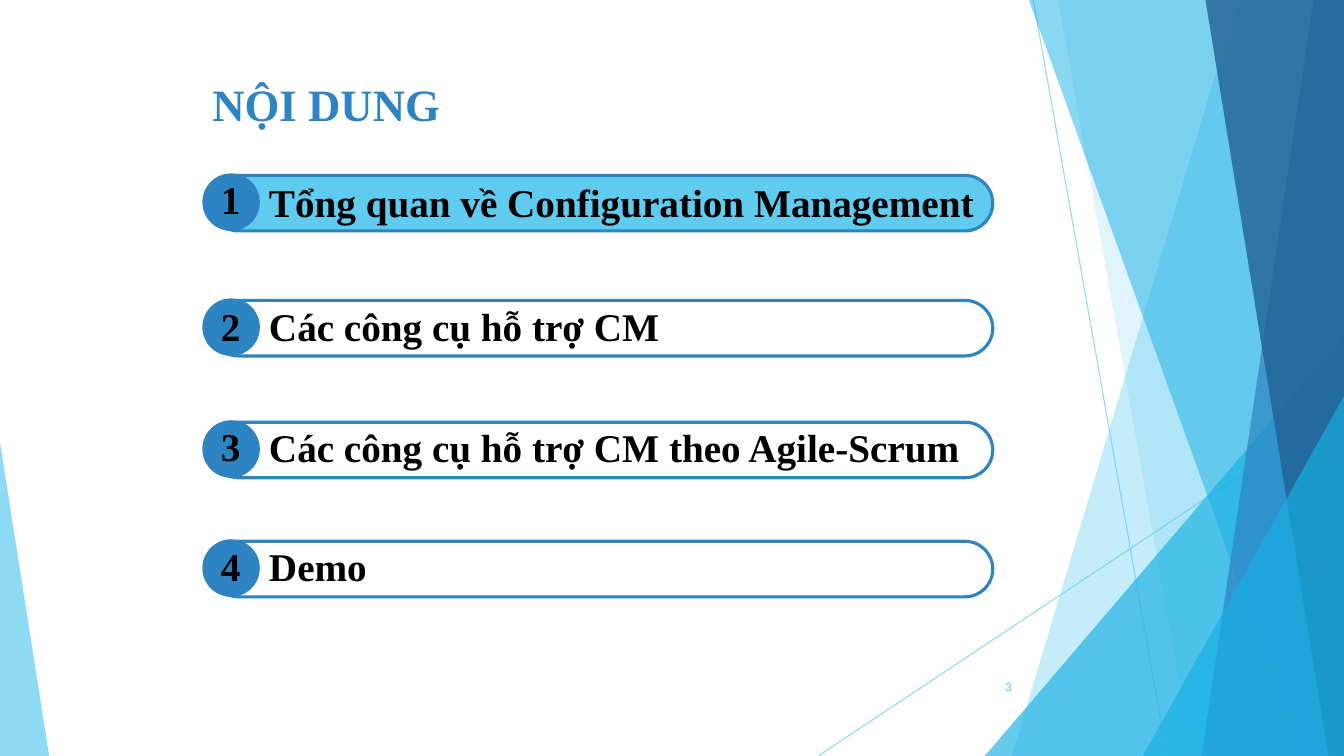
import pptx
import pptx.dml.color
import pptx.enum.shapes
import pptx.enum.text
import pptx.oxml.ns
import pptx.util
from lxml import etree

Cm = pptx.util.Cm
Pt = pptx.util.Pt
qn = pptx.oxml.ns.qn
SHAPES = pptx.enum.shapes.MSO_SHAPE

COLORS = {
    "sky": "5FCBEF",
    "cyan": "17B0E4",
    "blue": "2E83C3",
    "navy": "226292",
    "black": "000000",
}
SERIF = "Times New Roman"
WIDTH, HEIGHT = 33.87, 19.05

# Agenda entries: text, bar top, text top, number top
AGENDA = [
    ("Tổng quan về Configuration Management", 4.42, 4.37, 4.29),
    ("Các công cụ hỗ trợ CM", 7.57, 7.49, 7.49),
    ("Các công cụ hỗ trợ CM theo Agile-Scrum", 10.64, 10.54, 10.52),
    ("Demo", 13.64, 13.54, 13.54),
]
CURRENT = 1


def rgb(name):
    return pptx.dml.color.RGBColor.from_string(COLORS[name])


def set_alpha(shape, percent):
    color = shape._element.spPr.find(".//" + qn("a:srgbClr"))
    etree.SubElement(color, qn("a:alpha")).set("val", str(percent * 1000))


def paint(shape, fill=None, line=None, alpha=None):
    shape.shadow.inherit = False
    if fill:
        shape.fill.solid()
        shape.fill.fore_color.rgb = rgb(fill)
    else:
        shape.fill.background()
    if line:
        shape.line.color.rgb = rgb(line)
        shape.line.width = Pt(2.25)
    else:
        shape.line.fill.background()
    if alpha:
        set_alpha(shape, alpha)


def add_preset(page, kind, left, top, width, height, adjust=None, **style):
    shape = page.shapes.add_shape(kind, Cm(left), Cm(top), Cm(width), Cm(height))
    if adjust is not None:
        shape.adjustments[0] = adjust
    paint(shape, **style)


def add_facet(page, top_left, bottom_left, fill, alpha):
    """A panel that reaches from a slanted left side to the right slide edge."""
    outline = page.shapes.build_freeform(Cm(top_left), 0)
    corners = [(WIDTH, 0), (WIDTH, HEIGHT), (bottom_left, HEIGHT)]
    outline.add_line_segments([(Cm(x), Cm(y)) for x, y in corners], close=True)
    paint(outline.convert_to_shape(), fill, alpha=alpha)


def add_wedge(page, left, top, right, apex, fill, alpha):
    """A right triangle standing on the bottom slide edge."""
    add_preset(page, SHAPES.ISOSCELES_TRIANGLE, left, top, right - left,
               HEIGHT - top, apex, fill=fill, alpha=alpha)


def add_hairline(page, x1, y1, x2, y2):
    line = page.shapes.add_connector(
        pptx.enum.shapes.MSO_CONNECTOR.STRAIGHT, Cm(x1), Cm(y1), Cm(x2), Cm(y2))
    line.line.color.rgb = rgb("sky")
    line.line.width = Pt(0.75)
    set_alpha(line, 70)
    etree.SubElement(line._element.spPr, qn("a:effectLst"))


def add_text(page, text, left, top, width, height, size, color="black",
             font=SERIF, bold=True):
    box = page.shapes.add_textbox(Cm(left), Cm(top), Cm(width), Cm(height))
    frame = box.text_frame
    frame.word_wrap = True
    frame.text = text
    span = frame.paragraphs[0].runs[0]
    span.font.name = font
    span.font.size = Pt(size)
    span.font.bold = bold
    span.font.color.rgb = rgb(color)
    return frame


def add_backdrop(page):
    add_hairline(page, 26.04, 0, 29.41, HEIGHT)
    add_hairline(page, WIDTH, 10.24, 20.62, HEIGHT)
    add_facet(page, 31.19, 25.5, "sky", 36)
    add_facet(page, 26.67, 30.05, "sky", 20)
    add_wedge(page, 24.82, 8.46, WIDTH, 1, "cyan", 66)
    add_facet(page, 25.93, 32.79, "cyan", 50)
    add_facet(page, 33.1, 30.28, "blue", 70)
    add_facet(page, 30.38, 33.48, "navy", 80)
    add_wedge(page, 28.8, 9.98, WIDTH, 1, "cyan", 66)
    add_wedge(page, 0, 11.15, 1.24, 0, "sky", 70)


def add_entry(page, number, text, bar_top, text_top, number_top):
    add_preset(page, SHAPES.ROUNDED_RECTANGLE, 5.31, bar_top, 19.71, 1.4, 0.5,
               fill="sky" if number == CURRENT else None, line="blue")
    add_preset(page, SHAPES.OVAL, 5.1, bar_top - 0.05, 1.45, 1.45, fill="blue")
    add_text(page, text, 6.53, text_top, 18.49, 1.45, 28)
    add_text(page, str(number), 5.32, number_top, 0.99, 1.45, 28)


def main():
    deck = pptx.Presentation()
    deck.slide_width, deck.slide_height = Cm(WIDTH), Cm(HEIGHT)
    page = deck.slides.add_slide(deck.slide_layouts[6])

    # Faceted background
    add_backdrop(page)

    # Title and agenda
    add_text(page, "NỘI DUNG", 5.1, 1.8, 6.68, 1.63, 32, "blue")
    for number, entry in enumerate(AGENDA, 1):
        add_entry(page, number, *entry)

    # Slide number
    frame = add_text(page, "3", 23.85, 16.79, 1.91, 1.02, 9, "sky", "Karla", False)
    frame.vertical_anchor = pptx.enum.text.MSO_ANCHOR.MIDDLE
    frame.paragraphs[0].alignment = pptx.enum.text.PP_ALIGN.RIGHT

    deck.save("out.pptx")


if __name__ == "__main__":
    main()
